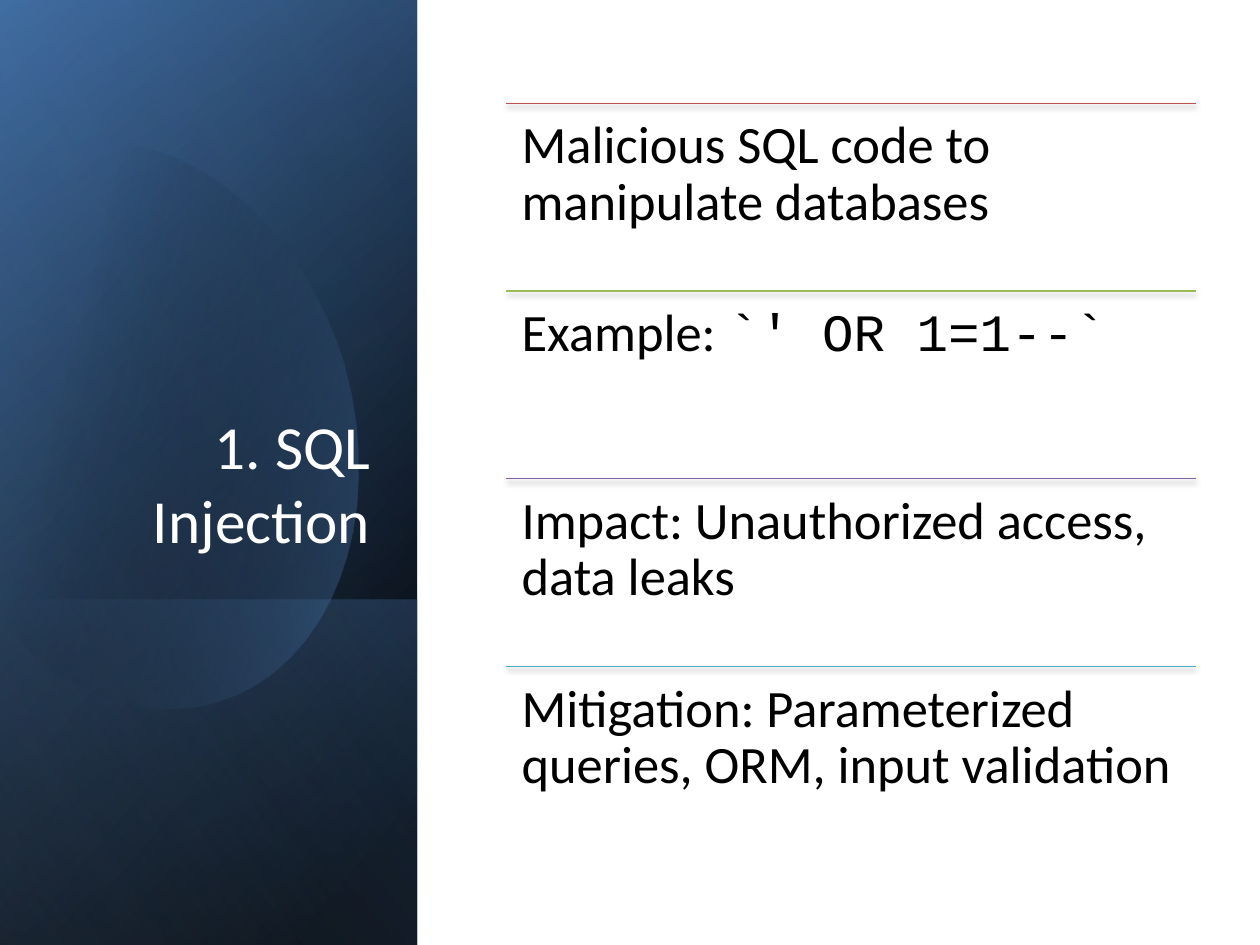
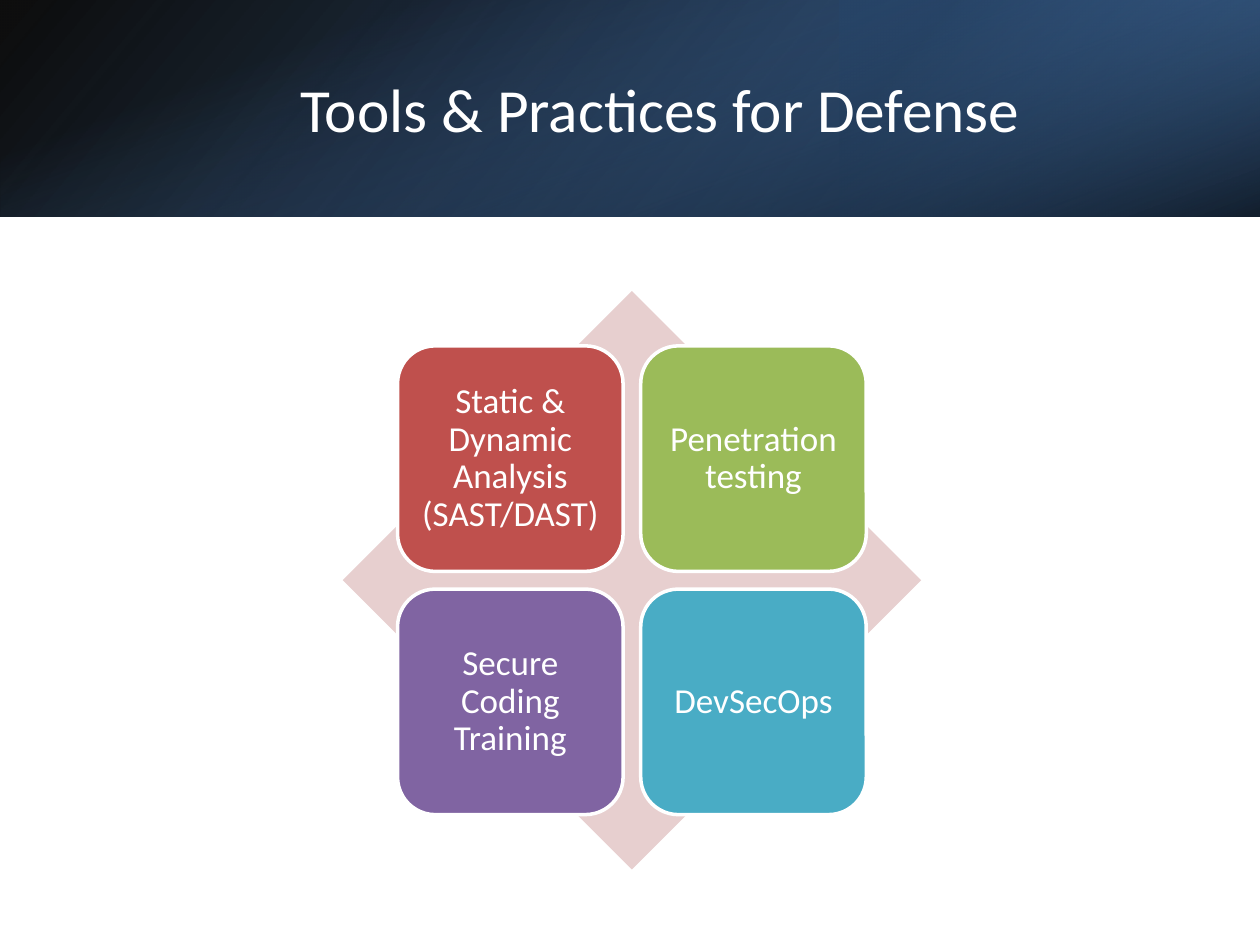
from pptx import Presentation
from pptx.dml.color import RGBColor
from pptx.enum.shapes import MSO_CONNECTOR, MSO_SHAPE
from pptx.enum.text import MSO_ANCHOR, MSO_AUTO_SIZE, PP_ALIGN
from pptx.oxml import parse_xml
from pptx.oxml.ns import nsdecls, qn
from pptx.util import Pt

RECTANGLE, DIAMOND = MSO_SHAPE.RECTANGLE, MSO_SHAPE.DIAMOND
ROUNDED = MSO_SHAPE.ROUNDED_RECTANGLE
STRAIGHT = MSO_CONNECTOR.STRAIGHT
TOP, MIDDLE, BOTTOM = MSO_ANCHOR.TOP, MSO_ANCHOR.MIDDLE, MSO_ANCHOR.BOTTOM
LEFT, CENTER, RIGHT = PP_ALIGN.LEFT, PP_ALIGN.CENTER, PP_ALIGN.RIGHT
NO_AUTOFIT = MSO_AUTO_SIZE.NONE

EMU_PER_PX = 9144  # 100 px to the inch
PAGE_WIDTH, PAGE_HEIGHT = 1000, 750
TITLE_ONLY = 5

FONT, CODE_FONT = "Calibri", "Courier New"
WHITE, BLACK = "FFFFFF", "000000"
NAVY, DEEP_NAVY, BLUE, PALE_BLUE = "366092", "244061", "4F81BD", "93B3D7"
ACCENTS = ["BF504D", "9BBB59", "8064A2", "49ACC5"]  # red, green, purple, teal
PALE_RED = "E7CFCF"


def px(*lengths):
    return [round(length * EMU_PER_PX) for length in lengths]


def color(hex_string):
    return RGBColor.from_string(hex_string)


# Shared drawing helpers
def fill_gradient(shape, stops, angle):
    """Each stop is (position %, colour, opacity %)."""
    stop_xml = "".join(
        f'<a:gs pos="{position * 1000}"><a:srgbClr val="{hex_string}">'
        f'<a:alpha val="{opacity * 1000}"/></a:srgbClr></a:gs>'
        for position, hex_string, opacity in stops)
    gradient = parse_xml(
        f'<a:gradFill {nsdecls("a")} rotWithShape="1"><a:gsLst>{stop_xml}</a:gsLst>'
        f'<a:lin ang="{angle * 60000}" scaled="0"/></a:gradFill>')
    shape.fill.background()
    properties = shape._element.spPr
    properties.replace(properties.find(qn("a:noFill")), gradient)
    shape.line.fill.background()
    shape.shadow.inherit = False


def add_gradient_band(page, box, stops, angle, rotation=0, flip=False):
    """Cover the box as seen on the page, whatever the rotation."""
    left, top, width, height = box
    if rotation % 180:
        left, top = left + (width - height) / 2, top + (height - width) / 2
        width, height = height, width
    band = page.shapes.add_shape(RECTANGLE, *px(left, top, width, height))
    band.rotation = rotation
    if flip:
        band._element.spPr.xfrm.set("flipH", "1")
    fill_gradient(band, stops, angle)


def add_soft_shadow(connector):
    connector._element.spPr.append(parse_xml(
        f'<a:effectLst {nsdecls("a")}>'
        '<a:outerShdw blurRad="40000" dist="23000" dir="5400000" rotWithShape="0">'
        f'<a:srgbClr val="{BLACK}"><a:alpha val="35000"/></a:srgbClr>'
        '</a:outerShdw></a:effectLst>'))


def format_frame(frame, anchor, inset_x, inset_y):
    frame.word_wrap = True
    frame.auto_size = NO_AUTOFIT
    frame.vertical_anchor = anchor
    frame.margin_left = frame.margin_right = px(inset_x)[0]
    frame.margin_top = frame.margin_bottom = px(inset_y)[0]


def format_paragraph(para, size, hex_string, align, spacing=None):
    para.alignment = align
    para.line_spacing = spacing
    para.font.size = Pt(size)
    para.font.name = FONT
    para.font.color.rgb = color(hex_string)


def set_title(page, text, box, align, anchor):
    title = page.shapes.title
    title.left, title.top, title.width, title.height = px(*box)
    page.shapes._spTree.append(title._element)  # in front of the bands
    frame = title.text_frame
    frame.text = text
    format_frame(frame, anchor, 10, 5)
    format_paragraph(frame.paragraphs[0], 35, WHITE, align)


# Side panel
def curve_points(start, *curves, steps=16):
    """Points along a chain of cubic curves."""
    points = [start]
    for control_1, control_2, end in curves:
        begin = points[-1]
        for step in range(1, steps + 1):
            t = step / steps
            weights = ((1 - t) ** 3, 3 * t * (1 - t) ** 2, 3 * t * t * (1 - t), t ** 3)
            corners = (begin, control_1, control_2, end)
            points.append(tuple(
                sum(weight * corner[axis] for weight, corner in zip(weights, corners))
                for axis in (0, 1)))
    return points


def add_glow(page, left, top):
    outer = curve_points(
        (96, 114),
        ((171, 122), (244, 192), (273, 290)),
        ((307, 412), (262, 531), (171, 557)),
        ((114, 574), (53, 550), (7, 500)))
    inner = curve_points(
        (-15, 154),
        ((2, 137), (22, 125), (45, 118)),
        ((62, 113), (79, 112), (96, 114)))
    points = outer + [(-3, 488), (-25, 166)] + inner
    outline = [px(left + x, top + y) for x, y in points]
    builder = page.shapes.build_freeform(*outline[0])
    builder.add_line_segments(outline[1:], close=True)
    fill_gradient(builder.convert_to_shape(),
                  [(0, BLACK, 0), (29, BLACK, 0), (100, BLUE, 42)], 14)


def add_side_panel(page, box):
    left, top, width, height = box
    foot_height = 274
    foot = (left, top + height - foot_height, width, foot_height)
    add_gradient_band(page, box, [(0, BLACK, 100), (8, BLACK, 100), (100, NAVY, 100)],
                      50, 90, True)
    add_gradient_band(page, box, [(0, BLACK, 0), (99, BLUE, 45), (100, BLUE, 45)],
                      30, 90, True)
    add_gradient_band(page, foot, [(0, BLUE, 28), (2, BLUE, 28), (100, BLACK, 29)],
                      130, 90, True)
    add_glow(page, left, top)
    add_gradient_band(page, box,
                      [(0, BLACK, 0), (99, PALE_BLUE, 11), (100, PALE_BLUE, 11)],
                      120, 90, True)


# List with a rule above each item
def add_ruled_list(page, box, items):
    left, top, width, height = box
    row_height = height / len(items)
    group = page.shapes.add_group_shape()
    for index, (spans, accent) in enumerate(zip(items, ACCENTS)):
        row_top = top + index * row_height
        rule = group.shapes.add_connector(
            STRAIGHT, *px(left, row_top, left + width, row_top))
        rule.line.color.rgb = color(accent)
        rule.line.width = Pt(0.75)
        add_soft_shadow(rule)

        item = group.shapes.add_textbox(*px(left, row_top, width, row_height))
        format_frame(item.text_frame, TOP, 12, 12)
        para = item.text_frame.paragraphs[0]
        format_paragraph(para, 30, BLACK, LEFT, 0.9)
        for text, font in spans:
            span = para.add_run()
            span.text = text
            span.font.name = font


# Header band
def add_header(page, box):
    left, top, width, height = box
    right_third = (left + width * 2 / 3, top, width / 3, height)
    add_gradient_band(page, box, [(0, BLACK, 95), (100, NAVY, 100)], 140, flip=True)
    add_gradient_band(page, right_third,
                      [(0, DEEP_NAVY, 67), (19, DEEP_NAVY, 67), (100, BLUE, 78)],
                      320, 180, True)
    add_gradient_band(page, box,
                      [(0, BLUE, 0), (23, BLUE, 0), (99, BLACK, 73), (100, BLACK, 73)],
                      340, 90)


# Four tiles on a diamond
def add_tile_matrix(page, box, labels):
    left, top, size, _ = box
    tile, pitch = 179, 193
    margin = (size - tile - pitch) / 2
    group = page.shapes.add_group_shape()
    diamond = group.shapes.add_shape(DIAMOND, *px(*box))
    diamond.fill.solid()
    diamond.fill.fore_color.rgb = color(PALE_RED)
    diamond.line.fill.background()
    diamond.shadow.inherit = False

    for index, (label, accent) in enumerate(zip(labels, ACCENTS)):
        row, column = divmod(index, 2)
        card = group.shapes.add_shape(ROUNDED, *px(
            left + margin + column * pitch, top + margin + row * pitch, tile, tile))
        card.adjustments[0] = 0.167
        card.fill.solid()
        card.fill.fore_color.rgb = color(accent)
        card.line.color.rgb = color(WHITE)
        card.line.width = Pt(2)
        card.shadow.inherit = False
        card.text_frame.text = label
        format_frame(card.text_frame, MIDDLE, 8, 8)
        format_paragraph(card.text_frame.paragraphs[0], 20, WHITE, CENTER, 0.9)


# Slides
def build_injection_slide(page):
    add_side_panel(page, (0, 0, 331, PAGE_HEIGHT))
    set_title(page, "1. SQL Injection", (48, 184, 256, 262), RIGHT, BOTTOM)
    add_ruled_list(page, (402, 82, 547, 596), [
        [("Malicious SQL code to manipulate databases", FONT)],
        [("Example: ", FONT), ("`' OR 1=1--`", CODE_FONT)],
        [("Impact: Unauthorized access, data leaks", FONT)],
        [("Mitigation: Parameterized queries, ORM, input validation", FONT)],
    ])


def build_defense_slide(page):
    add_header(page, (0, 0, PAGE_WIDTH, 172))
    set_title(page, "Tools & Practices for Defense", (112, 38, 824, 96), CENTER, MIDDLE)
    add_tile_matrix(page, (272, 231, 459, 459), [
        "Static & Dynamic Analysis (SAST/DAST)",
        "Penetration testing",
        "Secure Coding Training",
        "DevSecOps",
    ])


def main():
    deck = Presentation()
    deck.slide_width, deck.slide_height = px(PAGE_WIDTH, PAGE_HEIGHT)
    for build in (build_injection_slide, build_defense_slide):
        build(deck.slides.add_slide(deck.slide_layouts[TITLE_ONLY]))
    deck.save("out.pptx")


if __name__ == "__main__":
    main()
